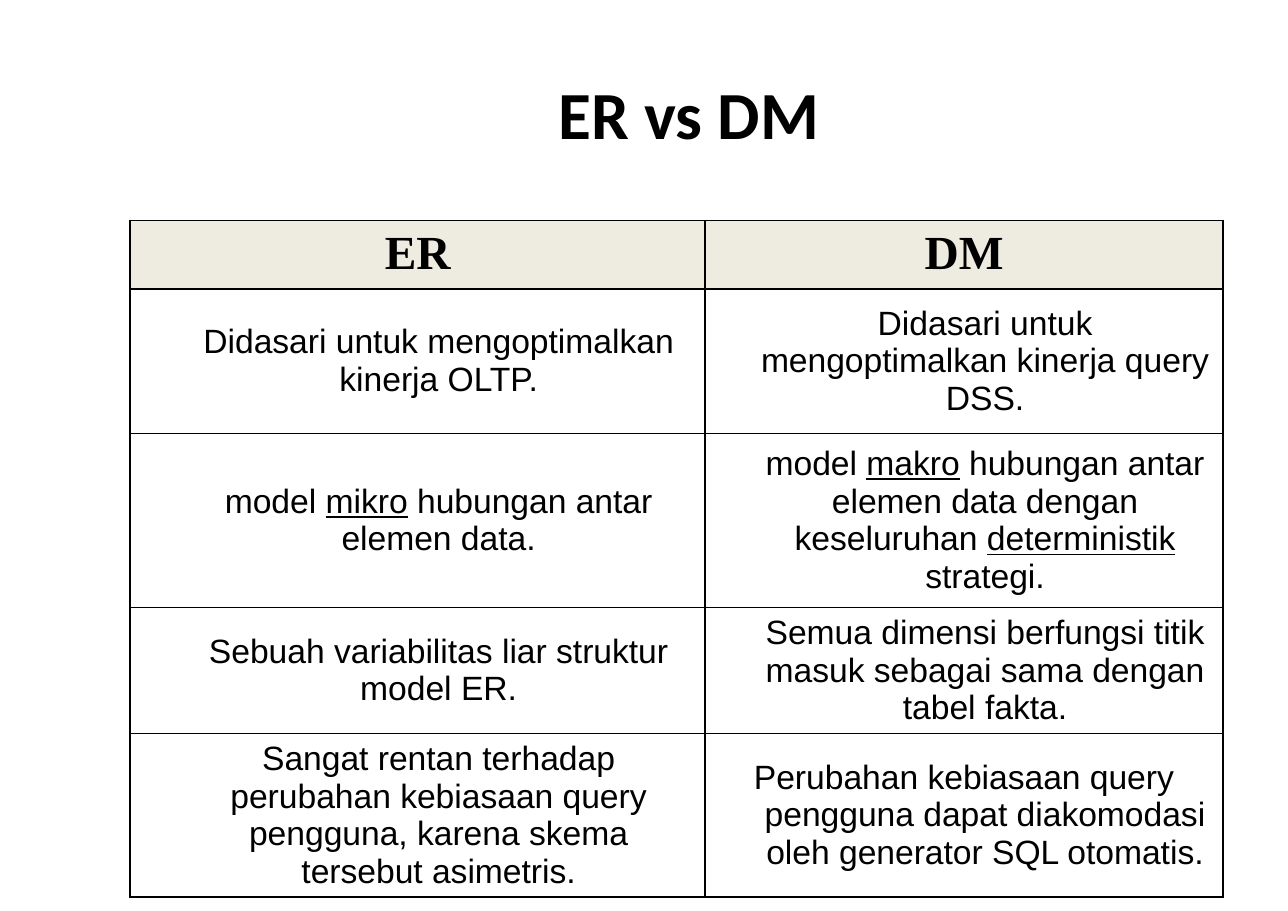
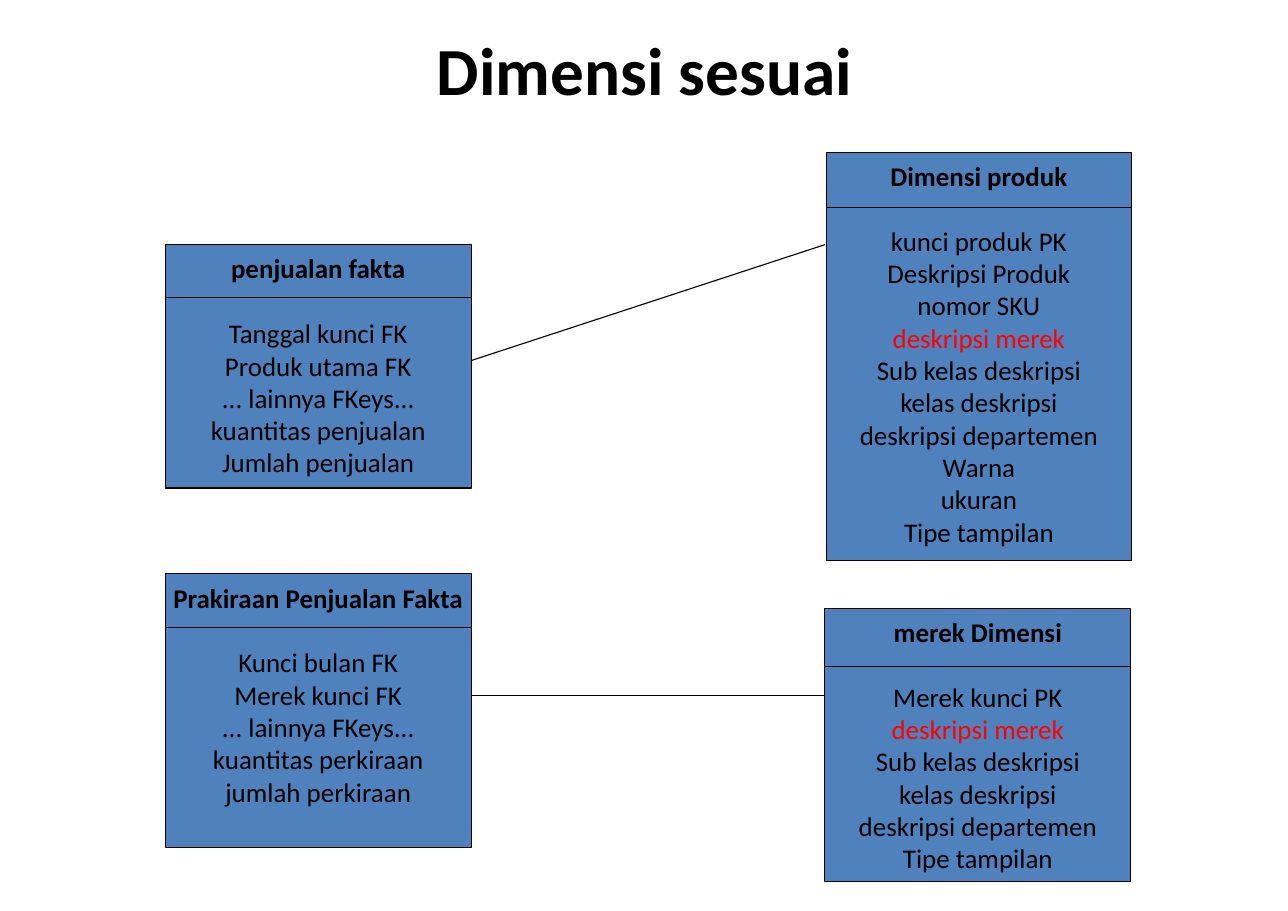
from lxml.etree import SubElement
from pptx import Presentation
from pptx.dml.color import RGBColor
from pptx.enum.shapes import MSO_CONNECTOR, MSO_SHAPE
from pptx.enum.text import MSO_ANCHOR, PP_ALIGN
from pptx.oxml.ns import qn
from pptx.util import Cm, Pt

BLACK, RED, BLUE, BEIGE = "000000", "FF0000", "4F81BD", "EEECE1"
HANG = 0.97

COMPARISON = [
    ("ER", "DM"),
    ("Didasari untuk mengoptimalkan kinerja OLTP.",
     "Didasari untuk mengoptimalkan kinerja query DSS."),
    ("model _mikro_ hubungan antar elemen data.",
     "model _makro_ hubungan antar elemen data dengan keseluruhan _deterministik_ strategi."),
    ("Sebuah variabilitas liar struktur model ER.",
     "Semua dimensi berfungsi titik masuk sebagai sama dengan tabel fakta."),
    ("Sangat rentan terhadap perubahan kebiasaan query pengguna, karena skema tersebut asimetris.",
     "Perubahan kebiasaan query pengguna dapat diakomodasi oleh generator SQL otomatis."),
]
COLUMN_WIDTHS = [13.26, 11.94]
ROW_HEIGHTS = [1.58, 3.33, 4.01, 2.88, 3.76]

BRAND_FIELD = "deskripsi merek"
ENTITIES = [
    ((3.81, 5.64, 7.06, 5.61), 1.22, "penjualan fakta",
     ["Tanggal kunci FK", "Produk utama FK", "... lainnya FKeys...",
      "kuantitas penjualan", "Jumlah penjualan"]),
    ((19.06, 3.51, 7.03, 9.42), 1.27, "Dimensi produk",
     ["kunci produk PK", "Deskripsi Produk", "nomor SKU", BRAND_FIELD,
      "Sub kelas deskripsi", "kelas deskripsi", "deskripsi departemen",
      "Warna", "ukuran", "Tipe tampilan"]),
    ((3.81, 13.23, 7.06, 6.3), 1.24, "Prakiraan Penjualan Fakta",
     ["Kunci bulan FK", "Merek kunci FK", "... lainnya FKeys...",
      "kuantitas perkiraan", "jumlah perkiraan"]),
    ((19.02, 14.02, 7.06, 6.3), 1.35, "merek Dimensi",
     ["Merek kunci PK", BRAND_FIELD, "Sub kelas deskripsi",
      "kelas deskripsi", "deskripsi departemen", "Tipe tampilan"]),
]
LINKS = [(19.02, 5.64, 10.87, 8.31), (19.02, 16.03, 10.87, 16.03)]


def rgb(value):
    return RGBColor.from_string(value)


def set_font(font, name, size, bold=False, color=BLACK):
    font.name, font.size, font.bold = name, Pt(size), bold
    font.color.rgb = rgb(color)


def set_margins(target, side, top):
    target.margin_left = target.margin_right = Cm(side)
    target.margin_top = target.margin_bottom = Cm(top)


def add_titled_slide(prs, title, box):
    s = prs.slides.add_slide(prs.slide_layouts[5])
    sp = s.shapes.title
    sp.left, sp.top, sp.width, sp.height = map(Cm, box)
    tf = sp.text_frame
    set_margins(tf, 0.28, 0.15)
    tf.vertical_anchor = MSO_ANCHOR.MIDDLE
    tf.text = title
    p = tf.paragraphs[0]
    p.alignment = PP_ALIGN.CENTER
    set_font(p.font, "Calibri", 44, True)
    return s


def add_line(s, x1, y1, x2, y2, width):
    line = s.shapes.add_connector(MSO_CONNECTOR.STRAIGHT, *map(Cm, (x1, y1, x2, y2)))
    line.line.color.rgb = rgb(BLACK)
    line.line.width = Pt(width)
    SubElement(line._element.spPr, qn("a:effectLst"))


def set_borders(cell):
    tcPr = cell._tc.get_or_add_tcPr()
    for index, side in enumerate(("a:lnL", "a:lnR", "a:lnT", "a:lnB")):
        ln = tcPr.makeelement(qn(side), {"w": str(Pt(1))})
        fill = SubElement(ln, qn("a:solidFill"))
        SubElement(fill, qn("a:srgbClr"), val=BLACK)
        tcPr.insert(index, ln)


def fill_cell(cell, text, header, hanging):
    set_margins(cell, 0.28, 0.15)
    set_borders(cell)
    p = cell.text_frame.paragraphs[0]
    p.alignment = PP_ALIGN.CENTER
    pPr = p._p.get_or_add_pPr()
    pPr.set("marL", str(Cm(HANG)))
    pPr.set("indent", str(-Cm(HANG) if hanging else 0))
    for i, part in enumerate(text.split("_")):
        r = p.add_run()
        r.text = part
        if i % 2:
            r.font.underline = True
    if header:
        cell.fill.solid()
        cell.fill.fore_color.rgb = rgb(BEIGE)
        set_font(p.font, "Times New Roman", 31, True)
    else:
        cell.fill.background()
        cell.vertical_anchor = MSO_ANCHOR.MIDDLE
        set_font(p.font, "Arial", 22)


def add_comparison(s, left, top):
    size = sum(COLUMN_WIDTHS), sum(ROW_HEIGHTS)
    table = s.shapes.add_table(len(ROW_HEIGHTS), len(COLUMN_WIDTHS),
                               *map(Cm, (left, top, *size))).table
    table.first_row = table.horz_banding = False
    for column, width in zip(table.columns, COLUMN_WIDTHS):
        column.width = Cm(width)
    for row, height in zip(table.rows, ROW_HEIGHTS):
        row.height = Cm(height)
    last = len(COMPARISON) - 1, len(COLUMN_WIDTHS) - 1
    for i, texts in enumerate(COMPARISON):
        for j, text in enumerate(texts):
            fill_cell(table.cell(i, j), text, i == 0, i == 0 or (i, j) == last)


def add_entity(s, box, divider, name, fields):
    left, top, width, _ = box
    sp = s.shapes.add_shape(MSO_SHAPE.RECTANGLE, *map(Cm, box))
    sp.shadow.inherit = False
    sp.fill.solid()
    sp.fill.fore_color.rgb = rgb(BLUE)
    sp.line.color.rgb = rgb(BLACK)
    sp.line.width = Pt(0.75)
    tf = sp.text_frame
    tf.word_wrap = True
    tf.vertical_anchor = MSO_ANCHOR.TOP
    set_margins(tf, 0, 0.17)
    tf.text = "\n".join([name, *fields])
    for i, p in enumerate(tf.paragraphs):
        p.alignment = PP_ALIGN.CENTER
        set_font(p.font, "Calibri", 17.6, i == 0, RED if p.text == BRAND_FIELD else BLACK)
    tf.paragraphs[0].space_after = Pt(21.2)
    add_line(s, left, top + divider, left + width, top + divider, 0.5)


def main():
    prs = Presentation()
    prs.slide_width, prs.slide_height = Cm(29.7), Cm(21)

    s = add_titled_slide(prs, "ER vs DM", (3.58, 0.84, 24.61, 3.51))
    add_comparison(s, 3, 5.08)

    s = add_titled_slide(prs, "Dimensi sesuai", (2.26, 0.36, 25.22, 2.44))
    for entity in ENTITIES:
        add_entity(s, *entity)
    for link in LINKS:
        add_line(s, *link, 0.75)

    prs.save("out.pptx")


if __name__ == "__main__":
    main()
